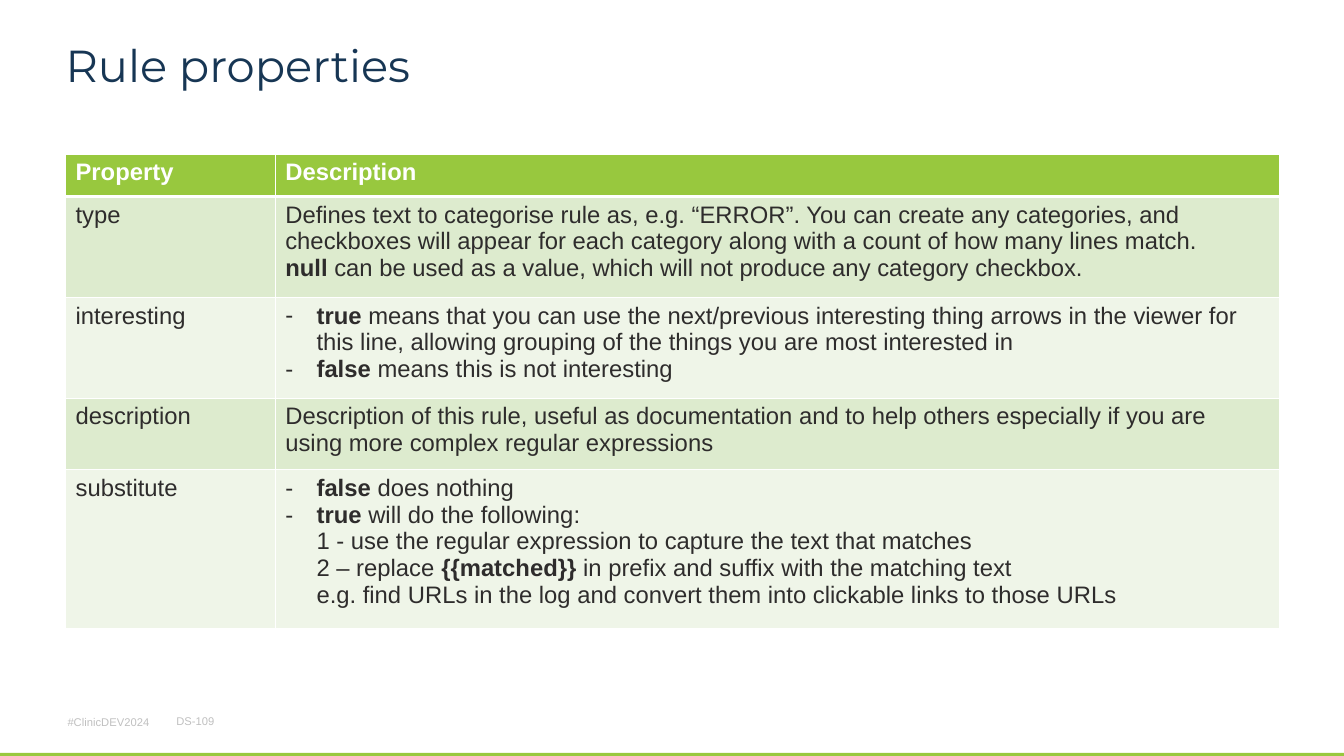
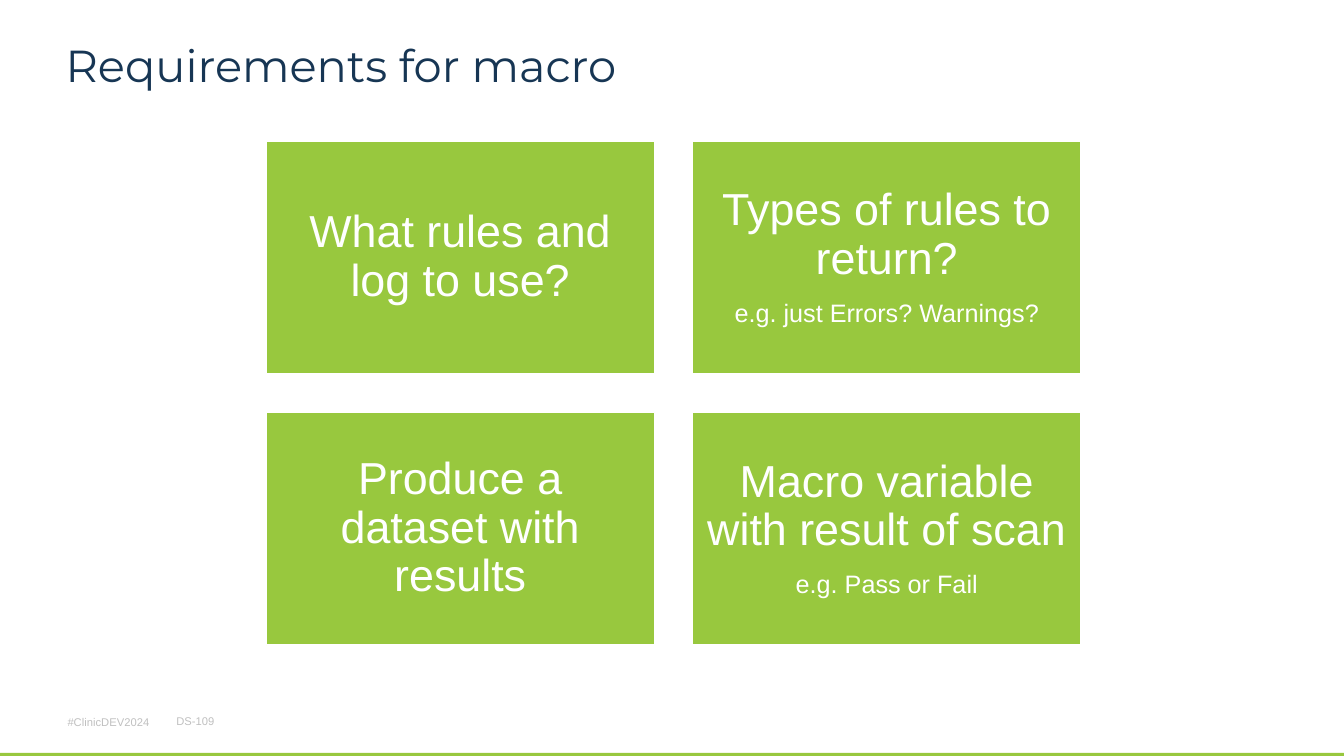
from copy import deepcopy

from lxml.etree import SubElement
from pptx import Presentation
from pptx.dml.color import RGBColor
from pptx.enum.shapes import MSO_SHAPE as Shape
from pptx.enum.text import MSO_ANCHOR as Anchor, PP_ALIGN as Align
from pptx.oxml.ns import qn
from pptx.util import Inches, Pt

COLORS = {
    "green": "98C83E",
    "navy": "173654",
    "text": "2E2C2C",
    "grey": "C0C0C0",
    "white": "FFFFFF",
    "band_dark": "DDEBCE",
    "band_light": "EFF5E8",
}
BODY_FONT, TITLE_FONT = "Arial", "Montserrat"
TITLE_BOX = (0.65, 0.34, 12.04, 0.67)
TABLE_BOX = (0.65, 1.53, 12.04, 4.71)
CARDS_BOX = (2.64, 1.4, 8.08, 5)

# Asterisks enclose bold words, "- " opens a bullet, "\v" breaks a line
RULE_ROWS = [
    ("*Property*", ["*Description*"]),
    ("type", [
        "Defines text to categorise rule as, e.g. “ERROR”. You can create any "
        "categories, and checkboxes will appear for each category along with a "
        "count of how many lines match.\v*null* can be used as a value, which "
        "will not produce any category checkbox."]),
    ("interesting", [
        "- *true* means that you can use the next/previous interesting thing "
        "arrows in the viewer for this line, allowing grouping of the things "
        "you are most interested in",
        "- *false* means this is not interesting"]),
    ("description", [
        "Description of this rule, useful as documentation and to help others "
        "especially if you are using more complex regular expressions"]),
    ("substitute", [
        "- *false* does nothing",
        "- *true* will do the following:\v"
        "1 - use the regular expression to capture the text that matches\v"
        "2 – replace *{{matched}}* in prefix and suffix with the matching text\v"
        "e.g. find URLs in the log and convert them into clickable links to "
        "those URLs"]),
]
COLUMN_WIDTHS = (2.08, 9.96)
ROW_HEIGHTS = (0.42, 1, 1, 0.71, 1.58)

REQUIREMENTS = [
    ["What rules and log to use?"],
    ["Types of rules to return?", "e.g. just Errors? Warnings?"],
    ["Produce a dataset with results"],
    ["Macro variable with result of scan", "e.g. Pass or Fail"],
]


def rgb(name):
    return RGBColor.from_string(COLORS[name])


def inches(box):
    return [Inches(length) for length in box]


def style(span, size, color, font=BODY_FONT, bold=False):
    span.font.size = Pt(size)
    span.font.name = font
    span.font.bold = bold
    span.font.color.rgb = rgb(color)


def set_margins(frame, margin):
    frame.margin_left = frame.margin_right = Inches(margin)
    frame.margin_top = frame.margin_bottom = Inches(margin)


def add_rectangle(page, box, line=None):
    shape = page.shapes.add_shape(Shape.RECTANGLE, *inches(box))
    shape.shadow.inherit = False
    shape.fill.solid()
    shape.fill.fore_color.rgb = rgb("green")
    if line:
        shape.line.color.rgb = rgb(line)
        shape.line.width = Pt(1)
    else:
        shape.line.fill.background()
    return shape


def add_footer_text(page, box, text):
    frame = page.shapes.add_textbox(*inches(box)).text_frame
    frame.word_wrap = True
    frame.text = text
    para = frame.paragraphs[0]
    para.space_after = Pt(6)
    style(para.runs[0], 8, "grey")
    return frame


def add_page(deck, title):
    """Add a slide with the shared title, footer and bottom band."""
    page = deck.slides.add_slide(deck.slide_layouts[5])
    add_rectangle(page, (0, 7.47, 13.33, 0.06))
    tag = add_footer_text(page, (0.67, 7.1, 2, 0.17), "#ClinicDEV2024")
    set_margins(tag, 0)
    tag.paragraphs[0].space_before = Pt(3)
    code = add_footer_text(page, (1.65, 6.95, 0.99, 0.4), "DS-109")
    code.vertical_anchor = Anchor.MIDDLE

    heading = page.shapes.title
    heading.left, heading.top, heading.width, heading.height = inches(TITLE_BOX)
    frame = heading.text_frame
    frame.text = title
    frame.vertical_anchor = Anchor.MIDDLE
    set_margins(frame, 0)
    para = frame.paragraphs[0]
    para.alignment = Align.LEFT
    para.line_spacing = 0.9
    style(para.runs[0], 32, "navy", TITLE_FONT)
    return page


def add_bullet(para):
    props = para._p.get_or_add_pPr()
    indent = Inches(0.31)
    props.set("marL", str(indent))
    props.set("indent", str(-indent))
    SubElement(props, qn("a:buFont"), typeface=BODY_FONT)
    SubElement(props, qn("a:buChar"), char="-")


def write_marked(para, text, color):
    if text.startswith("- "):
        add_bullet(para)
        text = text[2:]
    for part_index, part in enumerate(text.split("*")):
        for line_index, line in enumerate(part.split("\v")):
            if line_index:
                para.add_line_break()
            if line:
                span = para.add_run()
                span.text = line
                style(span, 17, color, bold=part_index % 2 == 1)
    # Line breaks take the format of the run before them
    for line_break in para._p.findall(qn("a:br")):
        run_props = line_break.getprevious().find(qn("a:rPr"))
        line_break.append(deepcopy(run_props))


def add_borders(cell, bottom):
    props = cell._tc.get_or_add_tcPr()
    for side, width in (("L", 1), ("R", 1), ("T", 1), ("B", bottom)):
        line = SubElement(props, qn(f"a:ln{side}"), w=str(Pt(width)))
        fill = SubElement(line, qn("a:solidFill"))
        SubElement(fill, qn("a:srgbClr"), val=COLORS["white"])


def fill_cell(cell, texts, fill, color, bottom):
    add_borders(cell, bottom)
    cell.fill.solid()
    cell.fill.fore_color.rgb = rgb(fill)
    frame = cell.text_frame
    for index, text in enumerate(texts):
        para = frame.add_paragraph() if index else frame.paragraphs[0]
        write_marked(para, text, color)


def add_rule_table(page, box):
    table = page.shapes.add_table(
        len(RULE_ROWS), len(COLUMN_WIDTHS), *inches(box)).table
    table.horz_banding = False
    for column, width in zip(table.columns, COLUMN_WIDTHS):
        column.width = Inches(width)
    for index, (name, description) in enumerate(RULE_ROWS):
        table.rows[index].height = Inches(ROW_HEIGHTS[index])
        if index == 0:
            look = ("green", "white", 3)
        else:
            look = ("band_dark" if index % 2 else "band_light", "text", 1)
        fill_cell(table.cell(index, 0), [name], *look)
        fill_cell(table.cell(index, 1), description, *look)


def add_card(page, box, texts):
    frame = add_rectangle(page, box, "white").text_frame
    frame.word_wrap = True
    frame.vertical_anchor = Anchor.MIDDLE
    set_margins(frame, 0.13)
    frame.text = "\n".join(texts)
    for index, para in enumerate(frame.paragraphs):
        para.alignment = Align.CENTER
        para.line_spacing = 0.9
        if index:
            para.space_before = Pt(12)
        style(para.runs[0], 18 if index else 32, "white")


def add_card_grid(page, box, gap=0.38):
    left, top, width, height = box
    card_width, card_height = (width - gap) / 2, (height - gap) / 2
    for index, texts in enumerate(REQUIREMENTS):
        row, column = divmod(index, 2)
        add_card(page, (left + column * (card_width + gap),
                        top + row * (card_height + gap),
                        card_width, card_height), texts)


def main():
    deck = Presentation()
    deck.slide_width, deck.slide_height = Inches(13.33), Inches(7.5)
    add_rule_table(add_page(deck, "Rule properties"), TABLE_BOX)
    add_card_grid(add_page(deck, "Requirements for macro"), CARDS_BOX)
    deck.save("out.pptx")


if __name__ == "__main__":
    main()
